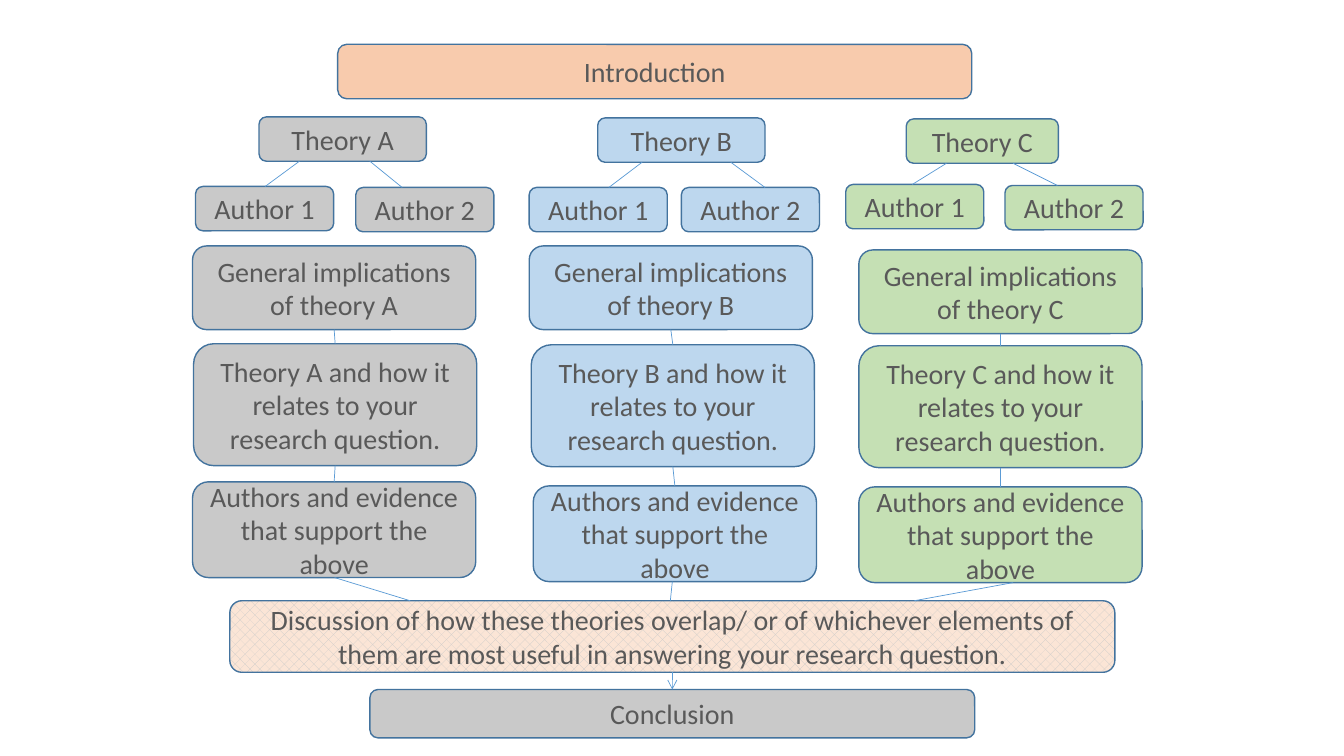
import pptx
import pptx.dml.color
import pptx.enum.dml
import pptx.enum.shapes
import pptx.enum.text
import pptx.oxml.ns
import pptx.util
import lxml.etree

# All positions are in cells of a square grid, ten cells to the inch.
CELL = pptx.util.Inches(0.1)
SLIDE_COLUMNS, SLIDE_ROWS = 133.33, 75
STACK_WIDTH = 28.1
AUTHOR_WIDTH = 13.7
LABEL_HEIGHT = 4.4
STACK_HEIGHTS = (8.3, 12.1, 9.5)

COLORS = {
    "grey": "C9C9C9",
    "blue": "BDD7EE",
    "green": "C5E0B4",
    "orange": "F8CBAD",
    "pale orange": "FBE5D6",
    "outline": "43739E",
    "link": "5B9BD5",
    "text": "595959",
}

# Positions are (left, top); each link is a pair of columns, upper end then lower end.
THEORIES = [
    {
        "letter": "A", "color": "grey",
        "heading": (25.7, 11.6, 16.6),
        "authors": [(19.4, 18.5), (35.3, 18.6)],
        "author_links": [(29.7, 26.3), (36.7, 39.9)],
        "stack": [(19.1, 24.4), (19.2, 34.1), (19.1, 47.8)],
        "discussion_link": (33.2, 40.7),
    },
    {
        "letter": "B", "color": "blue",
        "heading": (59.3, 11.7, 16.6),
        "authors": [(52.5, 18.6), (67.6, 18.6)],
        "author_links": [(63.7, 60.4), (72.5, 75.9)],
        "stack": [(52.5, 24.4), (52.7, 34.2), (52.9, 48.2)],
        "discussion_link": (66.7, 66.5),
    },
    {
        "letter": "C", "color": "green",
        "heading": (89.9, 11.8, 15.1),
        "authors": [(83.9, 18.3), (99.7, 18.4)],
        "author_links": [(93.9, 90.5), (100.5, 104.9)],
        "stack": [(85.2, 24.8), (85.2, 34.3), (85.2, 48.3)],
        "discussion_link": (100.5, 90.7),
    },
]


def cells(count):
    return pptx.util.Emu(round(count * CELL))


def rgb(name):
    return pptx.dml.color.RGBColor.from_string(COLORS[name])


def add_box(slide, text, color, left, top, width, height):
    shape = slide.shapes.add_shape(
        pptx.enum.shapes.MSO_SHAPE.ROUNDED_RECTANGLE,
        cells(left), cells(top), cells(width), cells(height))
    shape.shadow.inherit = False
    shape.fill.solid()
    shape.fill.fore_color.rgb = rgb(color)
    shape.line.color.rgb = rgb("outline")
    shape.line.width = pptx.util.Pt(1)
    text_frame = shape.text_frame
    text_frame.word_wrap = True
    text_frame.vertical_anchor = pptx.enum.text.MSO_ANCHOR.MIDDLE
    text_frame.text = text
    paragraph = text_frame.paragraphs[0]
    paragraph.alignment = pptx.enum.text.PP_ALIGN.CENTER
    font = paragraph.runs[0].font
    font.name = "Calibri"
    font.size = pptx.util.Pt(20)
    font.color.rgb = rgb("text")
    return shape


def set_pattern(shape, foreground, background):
    shape.fill.patterned()
    shape.fill.pattern = pptx.enum.dml.MSO_PATTERN.PERCENT_30
    shape.fill.fore_color.rgb = rgb(foreground)
    shape.fill.back_color.rgb = rgb(background)


def add_link(slide, upper, lower, columns=None):
    """Join the bottom of one box to the top of another, at their centres by default."""
    if columns:
        start, end = (cells(column) for column in columns)
    else:
        start, end = (box.left + box.width // 2 for box in (upper, lower))
    connector = slide.shapes.add_connector(
        pptx.enum.shapes.MSO_CONNECTOR.STRAIGHT,
        start, upper.top + upper.height, end, lower.top)
    connector.line.color.rgb = rgb("link")
    connector.line.width = pptx.util.Pt(0.5)
    lxml.etree.SubElement(
        connector.element.spPr, pptx.oxml.ns.qn("a:effectLst"))
    return connector


def add_arrowhead(connector):
    tail = lxml.etree.SubElement(
        connector.line._get_or_add_ln(), pptx.oxml.ns.qn("a:tailEnd"))
    tail.set("type", "arrow")


def add_theory(slide, theory, discussion):
    """Draw one theory's column, from its heading down to the discussion box."""
    letter, color = theory["letter"], theory["color"]
    heading = add_box(slide, f"Theory {letter}", color,
                      *theory["heading"], LABEL_HEIGHT)
    author_places = zip(theory["authors"], theory["author_links"])
    for number, (place, columns) in enumerate(author_places, start=1):
        author = add_box(slide, f"Author {number}", color,
                         *place, AUTHOR_WIDTH, LABEL_HEIGHT)
        add_link(slide, heading, author, columns)

    texts = (
        f"General implications of theory {letter}",
        f"Theory {letter} and how it relates to your research question.",
        "Authors and evidence that support the above",
    )
    stack = [
        add_box(slide, text, color, *place, STACK_WIDTH, height)
        for text, place, height in zip(texts, theory["stack"], STACK_HEIGHTS)
    ]
    for upper, lower in zip(stack, stack[1:]):
        add_link(slide, upper, lower)
    add_link(slide, stack[-1], discussion, theory["discussion_link"])


def main():
    presentation = pptx.Presentation()
    presentation.slide_width = cells(SLIDE_COLUMNS)
    presentation.slide_height = cells(SLIDE_ROWS)
    blank_layout = presentation.slide_layouts[6]
    slide = presentation.slides.add_slide(blank_layout)

    add_box(slide, "Introduction", "orange", 33.5, 4.4, 62.9, 5.4)
    discussion = add_box(
        slide,
        "Discussion of how these theories overlap/ or of whichever elements of "
        "them are most useful in answering your research question.",
        "pale orange", 22.8, 59.6, 87.8, 7.1)
    set_pattern(discussion, "grey", "pale orange")
    conclusion = add_box(slide, "Conclusion", "grey", 36.7, 68.4, 60, 4.8)
    add_arrowhead(add_link(slide, discussion, conclusion))

    for theory in THEORIES:
        add_theory(slide, theory, discussion)

    presentation.save("out.pptx")


if __name__ == "__main__":
    main()
